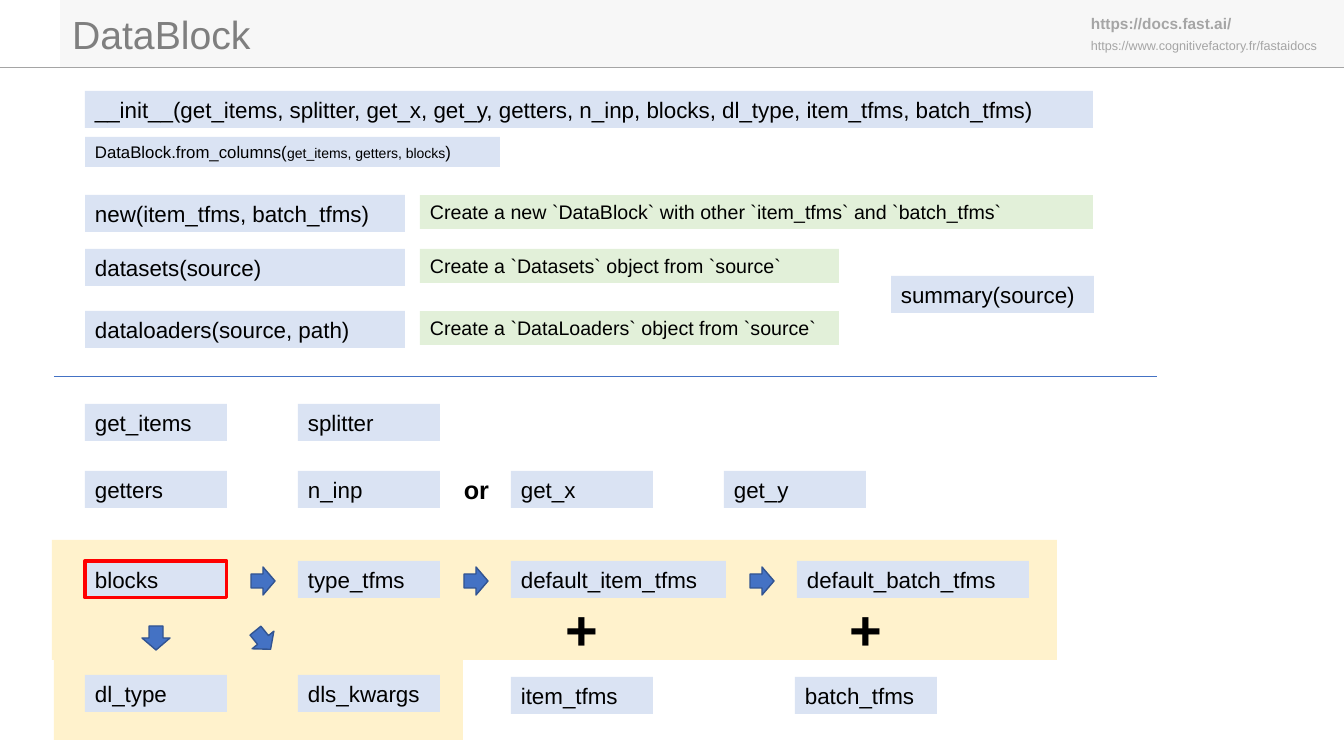
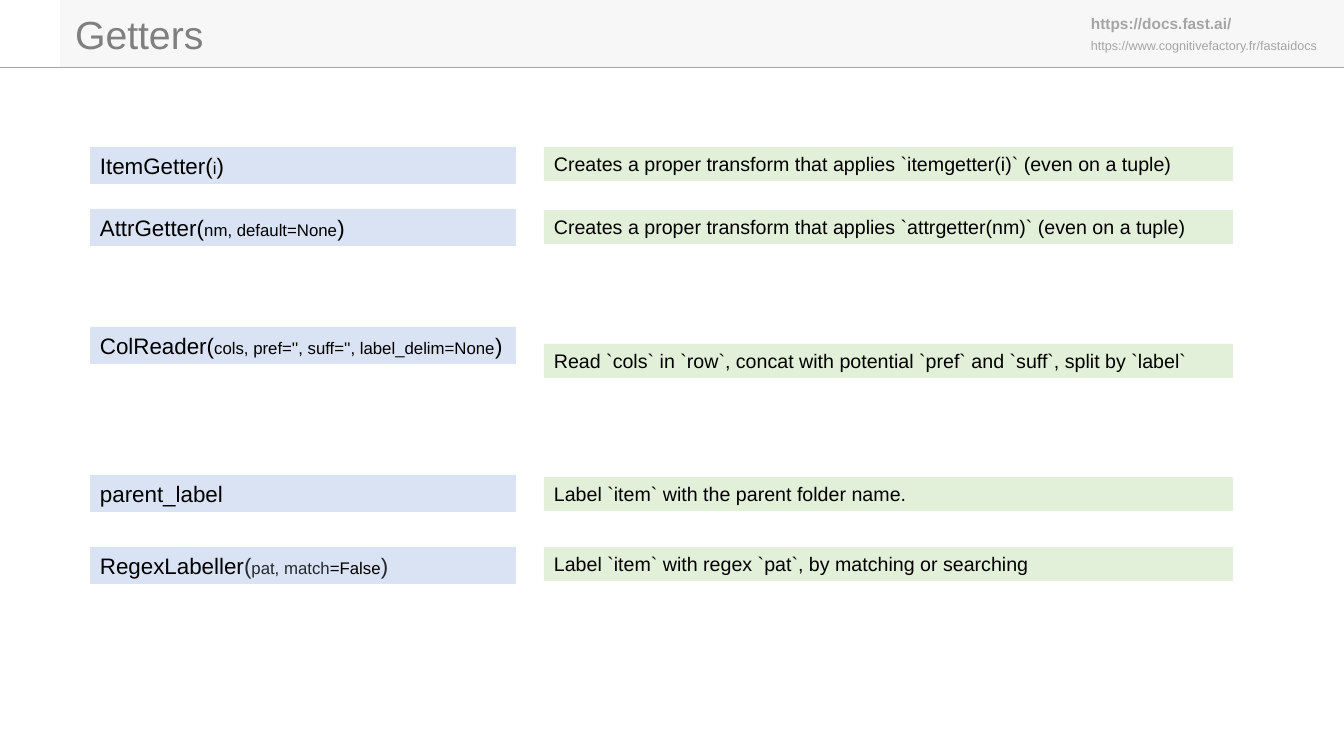
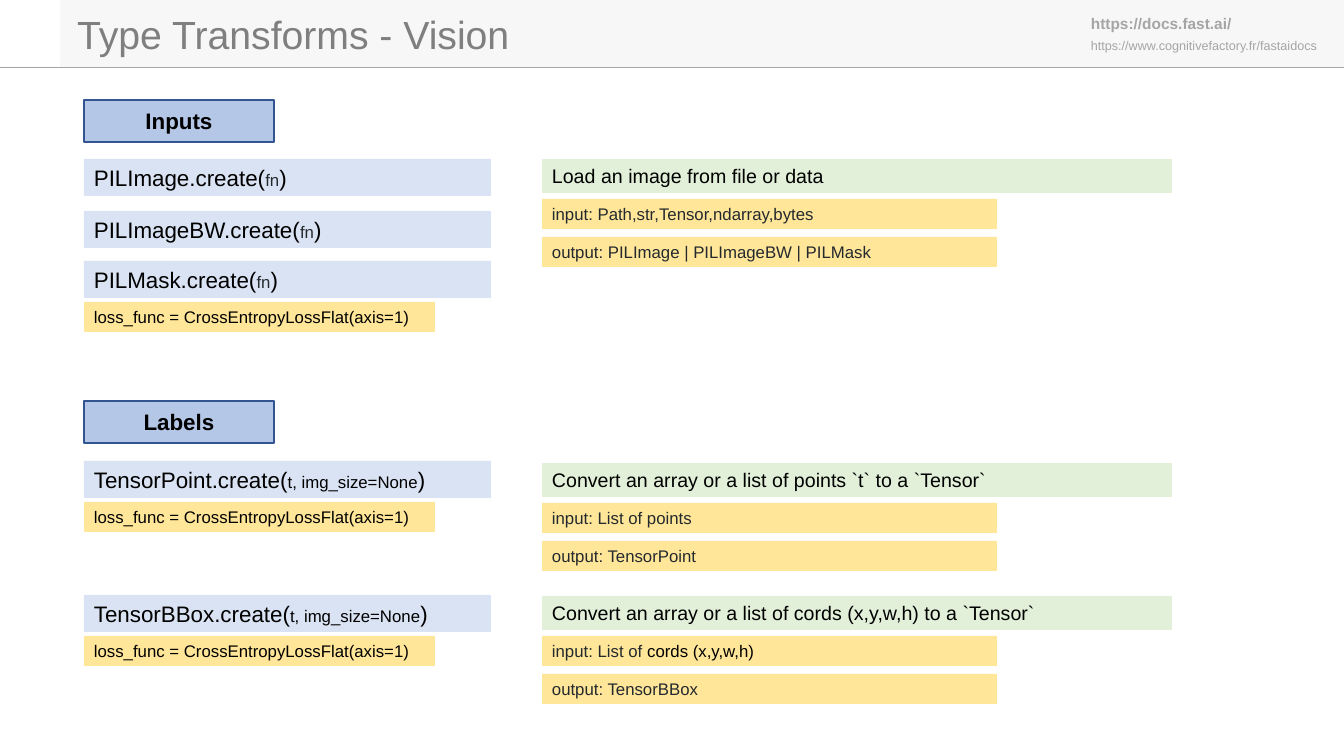
from lxml import etree
from pptx import Presentation
from pptx.dml.color import RGBColor
from pptx.enum.shapes import MSO_CONNECTOR, MSO_SHAPE
from pptx.enum.text import MSO_ANCHOR, MSO_AUTO_SIZE, PP_ALIGN
from pptx.oxml.ns import qn
from pptx.util import Emu, Pt

RECT, ARROW = MSO_SHAPE.RECTANGLE, MSO_SHAPE.RIGHT_ARROW
STRAIGHT = MSO_CONNECTOR.STRAIGHT
TOP, MIDDLE = MSO_ANCHOR.TOP, MSO_ANCHOR.MIDDLE
LEFT, CENTER = PP_ALIGN.LEFT, PP_ALIGN.CENTER
NO_FIT = MSO_AUTO_SIZE.NONE

# Shared style
FONT = "Arial"
BLACK, INK, TITLE_GRAY, GRAY = "000000", "24292E", "7F7F7F", "A5A5A5"
BAND, CREAM, RED = "F7F7F7", "FFF2CC", "FF0000"
BLUE, DARK_BLUE, MID_BLUE = "4472C4", "325491", "B4C7E7"
# Label kinds: fill, height in px, text size in points
CODE = ("DAE3F3", 37, 16)
SMALL_CODE = ("DAE3F3", 30, 12)
NOTE = ("E2F0D9", 34, 14)
DETAIL = ("FFE699", 30, 12)

WIDTH, HEIGHT = 1344, 756
PX_PER_INCH = 100.8


def px(n):
    return Emu(round(n * 914400 / PX_PER_INCH))


def rgb(value):
    return RGBColor.from_string(value)


def add_run(p, text, size=16, color=BLACK, bold=False):
    r = p.add_run()
    r.text = text
    r.font.name, r.font.size, r.font.bold = FONT, Pt(size), bold
    r.font.color.rgb = rgb(color)


class Deck:
    def __init__(self):
        self.prs = Presentation()
        self.prs.slide_width, self.prs.slide_height = px(WIDTH), px(HEIGHT)
        self.slide = None

    def new_slide(self, title, x, w):
        self.slide = self.prs.slides.add_slide(self.prs.slide_layouts[5])
        # Header band and links
        self.shape(RECT, 60, 0, WIDTH - 60, 67, BAND)
        self.line(0, WIDTH, 67, GRAY)
        self.text(1081, 33, 263, 25, "https://www.cognitivefactory.fr/fastaidocs",
                  size=9, color=GRAY)
        self.text(1081, 9, 263, 29, "https://docs.fast.ai/",
                  size=11, color=GRAY, bold=True)
        # Title, lifted above the band
        sp = self.slide.shapes.title
        sp.left, sp.top, sp.width, sp.height = map(px, (x, 5, w, 57))
        p = self.frame(sp, wrap=False)
        add_run(p, title, size=28, color=TITLE_GRAY)
        self.slide.shapes._spTree.append(sp._element)

    def frame(self, sp, wrap=True, anchor=TOP, align=LEFT):
        tf = sp.text_frame
        tf.auto_size, tf.word_wrap, tf.vertical_anchor = NO_FIT, wrap, anchor
        tf.margin_left = tf.margin_right = Pt(7.2)
        tf.margin_top = tf.margin_bottom = Pt(3.6)
        p = tf.paragraphs[0]
        p.alignment = align
        return p

    def shape(self, kind, x, y, w, h, fill, line=None, weight=1, turn=0):
        sp = self.slide.shapes.add_shape(kind, *map(px, (x, y, w, h)))
        sp.shadow.inherit = False
        sp.rotation = turn
        sp.fill.solid()
        sp.fill.fore_color.rgb = rgb(fill)
        if line:
            sp.line.color.rgb = rgb(line)
            sp.line.width = Pt(weight)
        else:
            sp.line.fill.background()
        return sp

    def line(self, x1, x2, y, color):
        cn = self.slide.shapes.add_connector(STRAIGHT, px(x1), px(y), px(x2), px(y))
        cn.line.color.rgb = rgb(color)
        cn.line.width = Pt(0.5)
        etree.SubElement(cn._element.spPr, qn("a:effectLst"))

    def text(self, x, y, w, h, text, wrap=True, **fmt):
        sp = self.slide.shapes.add_textbox(*map(px, (x, y, w, h)))
        add_run(self.frame(sp, wrap), text, **fmt)

    def label(self, kind, x, y, w, *runs, line=None, color=BLACK):
        """Each run is a text or a (text, format) pair."""
        fill, h, size = kind
        p = self.frame(self.shape(RECT, x, y, w, h, fill, line, 2.25))
        for run in runs:
            text, fmt = (run, {}) if isinstance(run, str) else run
            add_run(p, text, **{"size": size, "color": color, **fmt})

    def call(self, x, y, w, name, args, color=BLACK, kind=CODE, args_size=12):
        self.label(kind, x, y, w, name + "(",
                   (args, {"size": args_size, "color": color}), ")")

    def heading(self, x, y, text):
        sp = self.shape(RECT, x, y, 190, 42, MID_BLUE, DARK_BLUE)
        add_run(self.frame(sp, anchor=MIDDLE, align=CENTER), text, bold=True)

    def arrow(self, x, y, turn=0):
        self.shape(ARROW, x, y, 24, 28, BLUE, DARK_BLUE, turn=turn)


def data_block(deck):
    deck.new_slide("DataBlock", 62, 201)
    deck.shape(RECT, 54, 621, 409, 119, CREAM)
    deck.shape(RECT, 52, 540, 1005, 120, CREAM)

    # Methods and what they do
    left = 85
    deck.label(CODE, left, 91, 1008, "__init__(get_items, splitter, get_x, get_y, "
               "getters, n_inp, blocks, dl_type, item_tfms, batch_tfms)")
    deck.call(left, 137, 415, "DataBlock.from_columns",
              "get_items, getters, blocks", kind=SMALL_CODE, args_size=10)
    methods = [
        (195, "new(item_tfms, batch_tfms)", 673,
         "Create a new `DataBlock` with other `item_tfms` and `batch_tfms`"),
        (249, "datasets(source)", 419, "Create a `Datasets` object from `source`"),
        (311, "dataloaders(source, path)", 419,
         "Create a `DataLoaders` object from `source`"),
    ]
    for y, method, note_w, note in methods:
        deck.label(CODE, left, y, 320, method)
        deck.label(NOTE, 420, y, note_w, note)
    deck.label(CODE, 891, 276, 203, "summary(source)")
    deck.line(54, 1157, 376, BLUE)

    # Arguments on a grid of columns
    rows = [
        (404, ["get_items", "splitter"]),
        (471, ["getters", "n_inp", "get_x", "get_y"]),
        (561, ["blocks", "type_tfms"]),
        (675, ["dl_type", "dls_kwargs"]),
    ]
    for y, names in rows:
        for col, name in enumerate(names):
            deck.label(CODE, left + 213 * col, y, 142, name,
                       line=RED if name == "blocks" else None)
    deck.label(CODE, 511, 561, 215, "default_item_tfms")
    deck.label(CODE, 797, 561, 232, "default_batch_tfms")
    deck.label(CODE, 511, 677, 142, "item_tfms")
    deck.label(CODE, 795, 677, 142, "batch_tfms")

    # Arrows and joining words
    for x in (251, 464, 750):
        deck.arrow(x, 567)
    deck.arrow(144, 624, turn=90)
    deck.arrow(251, 626, turn=51)
    deck.text(454, 469, 45, 40, "or", wrap=False, size=18, bold=True)
    for x in (556, 840):
        deck.text(x, 590, 53, 78, "+", wrap=False, size=40, bold=True)


def getters(deck):
    deck.new_slide("Getters", 65, 150)
    left, w = 90, 426
    deck.call(left, 147, w, "ItemGetter", "i")
    deck.call(left, 209, w, "AttrGetter", "nm, default=None")
    deck.call(left, 327, w, "ColReader", "cols, pref='', suff='', label_delim=None")
    deck.label(CODE, left, 475, w, "parent_label")
    deck.label(CODE, left, 547, w, "RegexLabeller", ("(", {"color": INK}),
               ("pat, match", {"size": 12, "color": INK}),
               ("=False", {"size": 12}), (")", {"color": INK}))
    notes = [
        (147, "Creates a proper transform that applies `itemgetter(i)` (even on a tuple)"),
        (210, "Creates a proper transform that applies `attrgetter(nm)` (even on a tuple)"),
        (344, "Read `cols` in `row`, concat with potential `pref` and `suff`, "
              "split by `label`"),
        (477, "Label `item` with the parent folder name."),
        (547, "Label `item` with regex `pat`, by matching or searching"),
    ]
    for y, note in notes:
        deck.label(NOTE, 544, y, 689, note)


def type_transforms(deck):
    deck.new_slide("Type Transforms - Vision", 67, 458)
    left, w = 84, 407
    deck.heading(left, 100, "Inputs")
    deck.heading(left, 401, "Labels")

    # Constructors, some with a loss function below
    calls = [
        (159, "PILImage", "fn", INK, False),
        (211, "PILImageBW", "fn", INK, False),
        (261, "PILMask", "fn", INK, True),
        (461, "TensorPoint", "t, img_size=None", BLACK, True),
        (595, "TensorBBox", "t, img_size=None", BLACK, True),
    ]
    for y, name, args, color, has_loss in calls:
        deck.call(left, y, w, name + ".create", args, color)
        if has_loss:
            deck.label(DETAIL, left, y + 41, 351,
                       "loss_func = CrossEntropyLossFlat(axis=1)")

    # Descriptions with input and output
    notes = [
        (159, "Load an image from file or data",
         ["input: Path,str,Tensor,ndarray,bytes"],
         "output: PILImage | PILImageBW | PILMask"),
        (463, "Convert an array or a list of points `t` to a `Tensor`",
         ["input: List of points"], "output: TensorPoint"),
        (596, "Convert an array or a list of cords (x,y,w,h) to a `Tensor`",
         ["input: List of ", ("cords (x,y,w,h)", {"color": BLACK})],
         "output: TensorBBox"),
    ]
    for y, note, inputs, output in notes:
        deck.label(NOTE, 542, y, 630, note)
        deck.label(DETAIL, 542, y + 40, 455, *inputs, color=INK)
        deck.label(DETAIL, 542, y + 78, 455, output, color=INK)


def main():
    deck = Deck()
    data_block(deck)
    getters(deck)
    type_transforms(deck)
    deck.prs.save("out.pptx")


if __name__ == "__main__":
    main()
